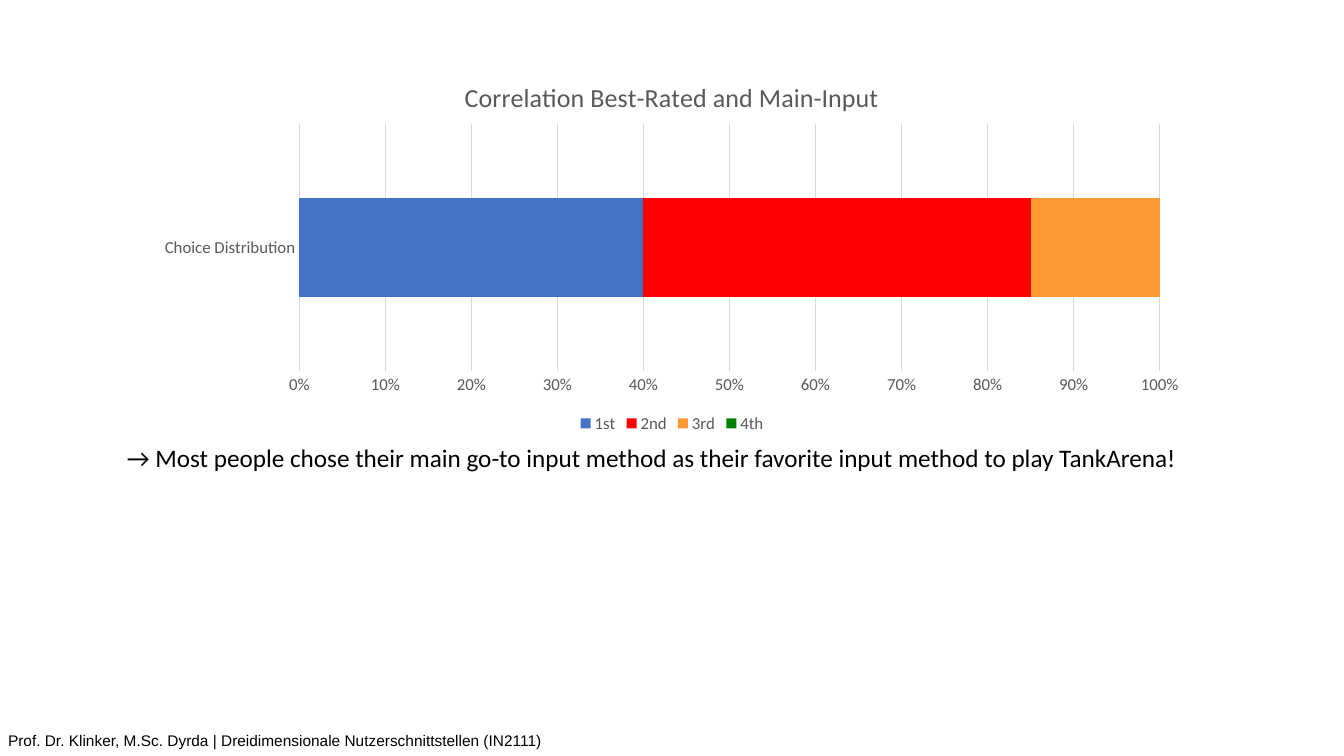
from lxml import etree
from pptx import Presentation
from pptx import util as u
from pptx.chart.data import CategoryChartData
from pptx.dml.color import RGBColor
from pptx.enum import chart as ch, text

COLORS = {"text": "000000", "label": "595959", "grid": "D9D9D9",
          "1st": "4472C4", "2nd": "FF0000", "3rd": "FF9933", "4th": "008000"}
CHOICES = {"1st": 40, "2nd": 45, "3rd": 15, "4th": None}
PLOT_LAYOUT = {"x": 0.147, "y": 0.166, "w": 0.815, "h": 0.657}


def apply(obj, **values):
    """Set each named attribute on an object."""
    for name, value in values.items():
        setattr(obj, name, value)


class SlideBuilder:
    """Hold the colours and the current slide, and add elements to it."""

    def __init__(self, prs, colors):
        self.colors = {k: RGBColor.from_string(v) for k, v in colors.items()}
        self.slide = prs.slides.add_slide(prs.slide_layouts[6])

    def font(self, font, size, color="text", name="Calibri"):
        """Format a font."""
        apply(font, size=u.Pt(size), name=name, bold=False)
        font.color.rgb = self.colors[color]

    def line(self, line, color="grid"):
        """Format a thin chart line."""
        line.width = u.Pt(0.75)
        line.color.rgb = self.colors[color]

    def text(self, box, words, size, name="Calibri", **frame):
        """Add a one-line text box."""
        sp = self.slide.shapes.add_textbox(*map(u.Inches, box))
        tf = sp.text_frame
        apply(tf, word_wrap=True, **frame)
        r = tf.paragraphs[0].add_run()
        r.text = words
        self.font(r.font, size, name=name)

    def bar_chart(self, box, title, category, values, layout):
        """Add a single stacked bar that fills 100 percent."""
        data = CategoryChartData(number_format="General")
        data.categories = [category]
        for name, value in values.items():
            data.add_series(name, [value])
        chart = self.slide.shapes.add_chart(
            ch.XL_CHART_TYPE.BAR_STACKED_100, *map(u.Inches, box), data).chart
        self.font(chart.font, 10)
        p = chart.chart_title.text_frame.paragraphs[0]
        r = p.add_run()
        r.text = title
        self.font(r.font, 18.6, "label")
        apply(chart, has_legend=True)
        apply(chart.legend, position=ch.XL_LEGEND_POSITION.BOTTOM,
              include_in_layout=False)
        self.font(chart.legend.font, 12, "label")

        plot = chart.plots[0]
        apply(plot, gap_width=150, overlap=100, vary_by_categories=False)
        for series in plot.series:
            series.format.fill.solid()
            series.format.fill.fore_color.rgb = self.colors[series.name]

        cat, val = chart.category_axis, chart.value_axis
        for axis in (cat, val):
            apply(axis, major_tick_mark=ch.XL_TICK_MARK.NONE,
                  minor_tick_mark=ch.XL_TICK_MARK.NONE)
            self.font(axis.tick_labels.font, 12, "label")
        self.line(cat.format.line)
        apply(val, minimum_scale=0, maximum_scale=1, major_unit=0.1,
              has_major_gridlines=True)
        apply(val.tick_labels, number_format="0%", number_format_is_linked=False)
        val.format.line.fill.background()
        self.line(val.major_gridlines.format.line)
        self.place_plot(chart, layout)

    def place_plot(self, chart, layout):
        """Fix the inner plot area as fractions of the chart."""
        area = chart._chartSpace.chart.plotArea
        ns = area.nsmap["c"]
        for old in area.findall(f"{{{ns}}}layout"):
            area.remove(old)
        node = etree.Element(f"{{{ns}}}layout")
        manual = etree.SubElement(node, f"{{{ns}}}manualLayout")
        settings = {"layoutTarget": "inner", "xMode": "edge", "yMode": "edge", **layout}
        for tag, value in settings.items():
            etree.SubElement(manual, f"{{{ns}}}{tag}", val=str(value))
        area.insert(0, node)


def main():
    """Build the slide and save it."""
    prs = Presentation()
    apply(prs, slide_width=u.Inches(13.33), slide_height=u.Inches(7.5))
    s = SlideBuilder(prs, COLORS)
    s.text((0, 7.2, 7.07, 0.3),
           "Prof. Dr. Klinker, M.Sc. Dyrda | Dreidimensionale Nutzerschnittstellen (IN2111)",
           11, "Arial", vertical_anchor=text.MSO_ANCHOR.MIDDLE,
           margin_left=u.Inches(0.08), margin_right=0)
    s.bar_chart((1.43, 0.61, 10.47, 3.73), "Correlation Best-Rated and Main-Input",
                "Choice Distribution", CHOICES, PLOT_LAYOUT)
    s.text((1.16, 4.34, 11.02, 0.4),
           "→ Most people chose their main go-to input method as their favorite "
           "input method to play TankArena!",
           18, auto_size=text.MSO_AUTO_SIZE.SHAPE_TO_FIT_TEXT)
    prs.save("out.pptx")


if __name__ == "__main__":
    main()
